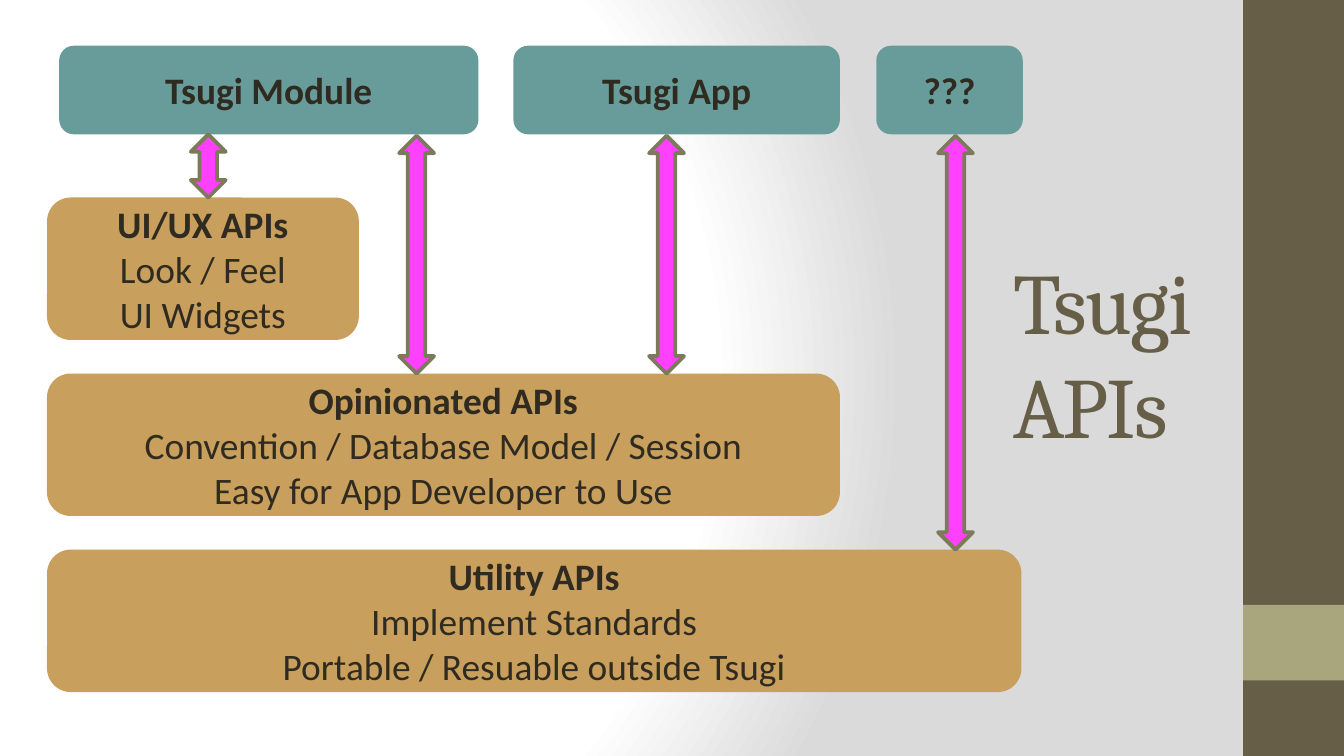
import dataclasses

import pptx
import pptx.dml.color
import pptx.enum.shapes
import pptx.enum.text
import pptx.oxml
import pptx.oxml.ns
import pptx.util

Inches = pptx.util.Inches
Pt = pptx.util.Pt
Shape = pptx.enum.shapes.MSO_SHAPE
Align = pptx.enum.text.PP_ALIGN


@dataclasses.dataclass(frozen=True)
class Theme:
    ink: str = "2F2B20"
    brown: str = "675E47"
    sage: str = "A9A57C"
    client: str = "689C9A"
    api: str = "C89F5D"
    arrow: str = "FF40FF"
    arrow_edge: str = "7D7A5C"
    light: str = "FFFFFF"
    shade: str = "DADADA"
    body_font: str = "Calibri"
    title_font: str = "Cambria"
    body_size: int = 20
    title_size: int = 46


THEME = Theme()
WIDTH = 10
HEIGHT = WIDTH * 9 / 16

# Layout: (text, left, width) for clients; (lines, width) for API layers
CLIENT_TOP, CLIENT_HEIGHT = 0.34, 0.66
CLIENTS = [("Tsugi Module", 0.44, 3.12), ("Tsugi App", 3.82, 2.43), ("???", 6.52, 1.09)]
LAYER_LEFT, LAYER_TOP, LAYER_HEIGHT, LAYER_STEP = 0.35, 1.47, 1.06, 1.31
LAYERS = [
    (["UI/UX APIs", "Look / Feel", "UI Widgets"], 2.32),
    (["Opinionated APIs", "Convention / Database Model / Session",
      "Easy for App Developer to Use"], 5.9),
    (["Utility APIs", "Implement Standards", "Portable / Resuable outside Tsugi"], 7.25),
]
# Arrow centre, gap below the client and index of the layer it reaches
ARROWS = [(1.55, 0, 0), (3.1, 0.01, 1), (4.96, 0.01, 1), (7.11, 0.01, 2)]
ARROW_WIDTH = 0.26


def color(value):
    return pptx.dml.color.RGBColor.from_string(value)


def set_font(font, **values):
    font.color.rgb = color(values.pop("ink"))
    for name, value in values.items():
        setattr(font, name, value)


def add_block(page, kind, box, fill, edge=None):
    shape = page.shapes.add_shape(kind, *map(Inches, box))
    shape.shadow.inherit = False
    shape.fill.solid()
    shape.fill.fore_color.rgb = color(fill)
    if edge:
        shape.line.color.rgb = color(edge)
        shape.line.width = Pt(2)
    else:
        shape.line.fill.background()
    return shape


def add_card(page, box, fill, lines):
    """Rounded card: bold heading, then plain lines."""
    frame = add_block(page, Shape.ROUNDED_RECTANGLE, box, fill).text_frame
    frame.word_wrap = True
    frame.vertical_anchor = pptx.enum.text.MSO_ANCHOR.MIDDLE
    for index, line in enumerate(lines):
        para = frame.add_paragraph() if index else frame.paragraphs[0]
        para.alignment = Align.CENTER
        span = para.add_run()
        span.text = line
        set_font(span.font, ink=THEME.ink, name=THEME.body_font,
                 size=Pt(THEME.body_size), bold=index == 0)


def paint_background(page):
    stops = "".join(
        f'<a:gs pos="{position * 1000}"><a:srgbClr val="{value}"/></a:gs>'
        for position, value in [(0, THEME.light), (75, THEME.light), (100, THEME.shade)])
    background = pptx.oxml.parse_xml(
        f'<p:bg {pptx.oxml.ns.nsdecls("p", "a")}><p:bgPr><a:gradFill rotWithShape="1">'
        f'<a:gsLst>{stops}</a:gsLst><a:path path="circle">'
        '<a:fillToRect l="20000" t="50000" r="100000" b="50000"/></a:path>'
        '</a:gradFill><a:effectLst/></p:bgPr></p:bg>')
    page.element.cSld.insert(0, background)


def add_sidebar(page, box):
    left, top, width, height = box
    add_block(page, Shape.RECTANGLE, box, THEME.brown)
    add_block(page, Shape.RECTANGLE, (left, top + 0.8 * height, width, 0.1 * height), THEME.sage)


def add_diagram(page, left, top):
    """API layers below the clients, joined by double arrows."""
    layer_tops = [top + LAYER_TOP + index * LAYER_STEP for index in range(len(LAYERS))]
    for (lines, width), layer_top in reversed(list(zip(LAYERS, layer_tops))):
        add_card(page, (left + LAYER_LEFT, layer_top, width, LAYER_HEIGHT), THEME.api, lines)
    for text, offset, width in CLIENTS:
        add_card(page, (left + offset, top + CLIENT_TOP, width, CLIENT_HEIGHT),
                 THEME.client, [text])
    for center, gap, layer in ARROWS:
        start = top + CLIENT_TOP + CLIENT_HEIGHT + gap
        box = (left + center - ARROW_WIDTH / 2, start, ARROW_WIDTH, layer_tops[layer] - start)
        add_block(page, Shape.UP_DOWN_ARROW, box, THEME.arrow, THEME.arrow_edge)


def place_title(page, box, text):
    title = page.shapes.title
    title.left, title.top, title.width, title.height = map(Inches, box)
    frame = title.text_frame
    frame.word_wrap = True
    frame.auto_size = pptx.enum.text.MSO_AUTO_SIZE.NONE
    frame.vertical_anchor = pptx.enum.text.MSO_ANCHOR.MIDDLE
    para = frame.paragraphs[0]
    para.alignment = Align.LEFT
    span = para.add_run()
    span.text = text
    set_font(span.font, ink=THEME.brown, name=THEME.title_font, size=Pt(THEME.title_size))
    span.font._element.set("spc", "-100")
    # Bring the title in front of the diagram
    page.shapes._spTree.append(title._element)


def main():
    deck = pptx.Presentation()
    deck.slide_width, deck.slide_height = Inches(WIDTH), Inches(HEIGHT)
    page = deck.slides.add_slide(deck.slide_layouts.get_by_name("Title Only"))
    paint_background(page)
    add_sidebar(page, (9.25, 0, 0.75, HEIGHT))
    add_diagram(page, 0, 0)
    place_title(page, (7.44, 1.9, 1.85, 1.44), "Tsugi APIs")
    deck.save("out.pptx")


if __name__ == "__main__":
    main()
